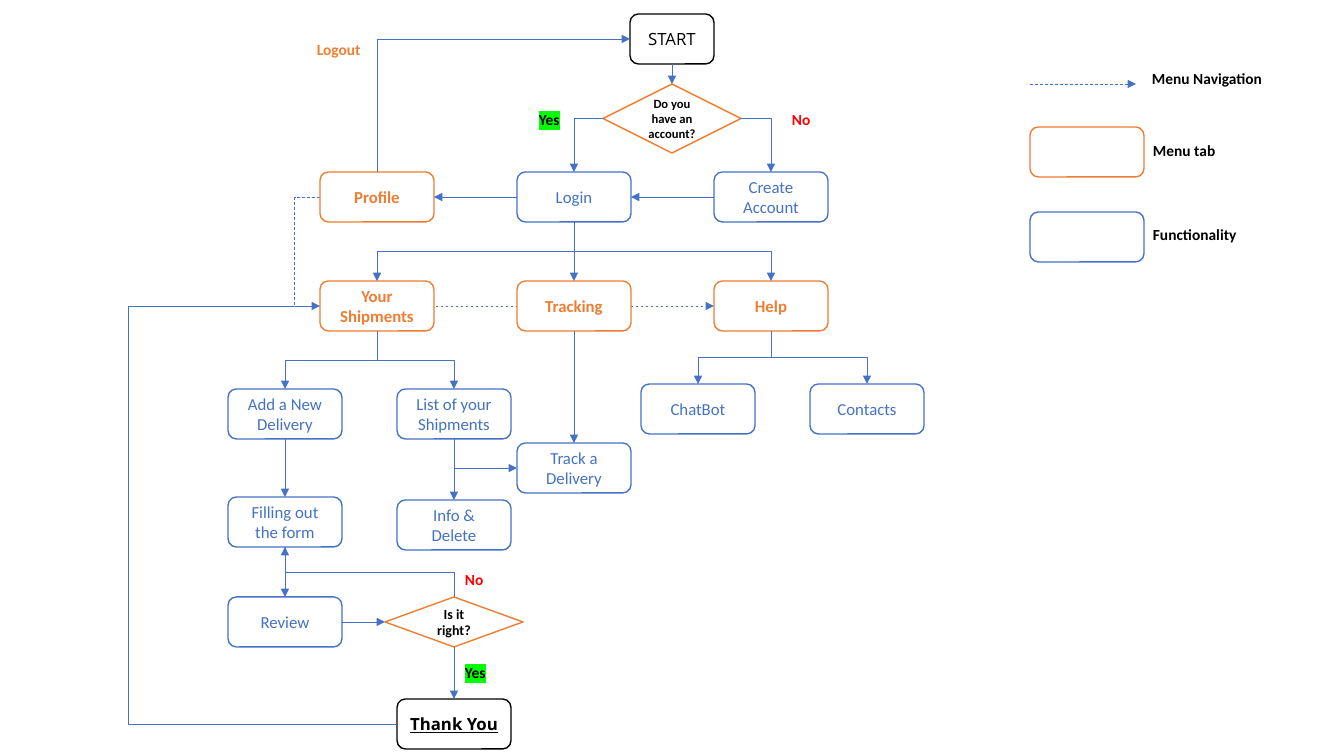
from lxml import etree
from pptx import Presentation
from pptx.dml.color import RGBColor
from pptx.enum import dml, shapes, text
from pptx.oxml import ns
from pptx.util import Pt

PX = 12192000 / 1344
COLORS = {
    "white": "FFFFFF", "black": "000000", "blue": "4472C4", "orange": "ED7D31",
    "orange text": "ED7E33", "red": "FF0000", "green": "00FF00",
}
BOX = shapes.MSO_SHAPE.ROUNDED_RECTANGLE
DECISION = shapes.MSO_SHAPE.FLOWCHART_DECISION
TOP, LEFT, BOTTOM, RIGHT = range(4)

# Each style: preset shape, outline colour, text colour, font attributes
STYLES = {
    "function": (BOX, "blue", "blue", {"name": "Calibri", "size": Pt(12)}),
    "menu": (BOX, "orange", "orange text", {"name": "Calibri", "size": Pt(12), "bold": True}),
    "start": (BOX, "black", "black", {"name": "Open Sans", "size": Pt(12)}),
    "finish": (BOX, "black", "black",
               {"name": "Open Sans", "size": Pt(12), "bold": True, "underline": True}),
    "account": (DECISION, "orange", "black", {"name": "Calibri", "size": Pt(9), "bold": True}),
    "check": (DECISION, "orange", "black", {"name": "Calibri", "size": Pt(10), "bold": True}),
}
SIZES = {"start": (84, 50), "account": (138, 69), "check": (138, 50)}
STANDARD_SIZE = (114, 50)
LABEL_FONT = {"name": "Calibri", "size": Pt(11), "bold": True}


def write(frame, wording, color, font):
    """Put one formatted run into a text frame and return it."""
    frame.word_wrap = True
    run = frame.paragraphs[0].add_run()
    run.text = wording
    run.font.color.rgb = RGBColor.from_string(COLORS[color])
    for attribute, value in font.items():
        setattr(run.font, attribute, value)
    return run


def finish_arrow(connector, dashed=False):
    """Give a connector its thin blue line, arrowhead and no shadow."""
    connector.line.color.rgb = RGBColor.from_string(COLORS["blue"])
    connector.line.width = Pt(0.5)
    if dashed:
        connector.line.dash_style = dml.MSO_LINE.DASH
    properties = connector._element.spPr
    etree.SubElement(properties.find(ns.qn("a:ln")), ns.qn("a:tailEnd"), type="triangle")
    etree.SubElement(properties, ns.qn("a:effectLst"))


presentation = Presentation()
presentation.slide_width = round(1344 * PX)
presentation.slide_height = round(756 * PX)
slide = presentation.slides.add_slide(presentation.slide_layouts[6])

# Flowchart steps and the two empty legend boxes
steps = [
    ("START", "start", 630, 14),
    ("Do you have an account?", "account", 603, 84),
    ("Login", "function", 517, 172),
    ("Create Account", "function", 714, 172),
    ("Profile", "menu", 320, 172),
    ("Your Shipments", "menu", 320, 281),
    ("Tracking", "menu", 517, 281),
    ("Help", "menu", 714, 281),
    ("Add a New Delivery", "function", 228, 389),
    ("List of your Shipments", "function", 397, 389),
    ("Track a Delivery", "function", 517, 443),
    ("ChatBot", "function", 641, 384),
    ("Contacts", "function", 810, 384),
    ("Filling out the form", "function", 228, 497),
    ("Info & Delete", "function", 397, 500),
    ("Review", "function", 228, 597),
    ("Is it right?", "check", 385, 597),
    ("Thank You", "finish", 397, 699),
    ("", "menu", 1030, 127),
    ("", "function", 1030, 212),
]
nodes = {}
for wording, style, left, top in steps:
    preset, outline, text_color, font = STYLES[style]
    width, height = SIZES.get(style, STANDARD_SIZE)
    node = slide.shapes.add_shape(preset, *(round(v * PX) for v in (left, top, width, height)))
    node.shadow.inherit = False
    node.fill.solid()
    node.fill.fore_color.rgb = RGBColor.from_string(COLORS["white"])
    node.line.color.rgb = RGBColor.from_string(COLORS[outline])
    node.line.width = Pt(1)
    if wording:
        node.text_frame.vertical_anchor = text.MSO_ANCHOR.MIDDLE
        node.text_frame.paragraphs[0].alignment = text.PP_ALIGN.CENTER
        write(node.text_frame, wording, text_color, font)
        nodes[wording] = node

# Glued arrows: from, side, to, side, bends, first bend in 1/1000 % of the width
flows = [
    ("Profile", LEFT, "Help", LEFT, 2, -6400),
    ("START", BOTTOM, "Do you have an account?", TOP, 0, None),
    ("Do you have an account?", LEFT, "Login", TOP, 1, None),
    ("Do you have an account?", RIGHT, "Create Account", TOP, 1, None),
    ("Create Account", LEFT, "Login", RIGHT, 0, None),
    ("Login", LEFT, "Profile", RIGHT, 0, None),
    ("Profile", TOP, "START", LEFT, 1, None),
    ("Login", BOTTOM, "Your Shipments", TOP, 2, None),
    ("Login", BOTTOM, "Tracking", TOP, 0, None),
    ("Login", BOTTOM, "Help", TOP, 2, None),
    ("Your Shipments", BOTTOM, "Add a New Delivery", TOP, 2, None),
    ("Your Shipments", BOTTOM, "List of your Shipments", TOP, 2, None),
    ("Tracking", BOTTOM, "Track a Delivery", TOP, 0, None),
    ("Help", BOTTOM, "ChatBot", TOP, 2, None),
    ("Help", BOTTOM, "Contacts", TOP, 2, None),
    ("List of your Shipments", BOTTOM, "Info & Delete", TOP, 0, None),
    ("List of your Shipments", BOTTOM, "Track a Delivery", LEFT, 1, None),
    ("Add a New Delivery", BOTTOM, "Filling out the form", TOP, 0, None),
    ("Filling out the form", BOTTOM, "Review", TOP, 0, None),
    ("Review", RIGHT, "Is it right?", LEFT, 0, None),
    ("Is it right?", TOP, "Filling out the form", BOTTOM, 2, None),
    ("Is it right?", BOTTOM, "Thank You", TOP, 0, None),
    ("Thank You", LEFT, "Your Shipments", LEFT, 2, 348600),
]
for source, source_side, target, target_side, bends, first_bend in flows:
    kind = shapes.MSO_CONNECTOR.ELBOW if bends else shapes.MSO_CONNECTOR.STRAIGHT
    arrow = slide.shapes.add_connector(kind, 0, 0, 0, 0)
    arrow.begin_connect(nodes[source], source_side)
    arrow.end_connect(nodes[target], target_side)
    properties = arrow._element.spPr
    geometry = properties.find(ns.qn("a:prstGeom"))
    if bends == 1:
        geometry.set("prst", "bentConnector2")
    if bends and source_side in (TOP, BOTTOM):
        # A vertical start is a horizontal one turned a quarter about its centre
        middle_x = (arrow.begin_x + arrow.end_x) // 2
        middle_y = (arrow.begin_y + arrow.end_y) // 2
        half_x = (arrow.end_x - arrow.begin_x) // 2
        half_y = (arrow.end_y - arrow.begin_y) // 2
        arrow.begin_x, arrow.begin_y = middle_x - half_y, middle_y + half_x
        arrow.end_x, arrow.end_y = middle_x + half_y, middle_y - half_x
        properties.find(ns.qn("a:xfrm")).set("rot", "5400000")
    if first_bend is not None:
        etree.SubElement(geometry.find(ns.qn("a:avLst")), ns.qn("a:gd"),
                         name="adj1", fmla=f"val {first_bend}")
    menu_navigation = (source, target) == ("Profile", "Help")
    finish_arrow(arrow, dashed=menu_navigation)
    if menu_navigation:
        slide.shapes._spTree.insert(2, arrow._element)

legend_arrow = slide.shapes.add_connector(
    shapes.MSO_CONNECTOR.STRAIGHT, *(round(v * PX) for v in (1030, 84, 1136, 84)))
finish_arrow(legend_arrow, dashed=True)

# Answers, logout and legend wording
labels = [
    ("Yes", "black", 529, 105, 44),
    ("No", "red", 782, 105, 44),
    ("Logout", "orange text", 307, 35, 68),
    ("No", "red", 455, 565, 44),
    ("Yes", "black", 455, 658, 44),
    ("Menu Navigation", "black", 1142, 64, 146),
    ("Menu tab", "black", 1143, 136, 146),
    ("Functionality", "black", 1143, 220, 146),
]
for wording, color, left, top, width in labels:
    label = slide.shapes.add_textbox(*(round(v * PX) for v in (left, top, width, 29)))
    run = write(label.text_frame, wording, color, LABEL_FONT)
    if wording == "Yes":
        highlight = etree.Element(ns.qn("a:highlight"))
        etree.SubElement(highlight, ns.qn("a:srgbClr"), val=COLORS["green"])
        run._r.rPr.find(ns.qn("a:solidFill")).addnext(highlight)

presentation.save("out.pptx")
